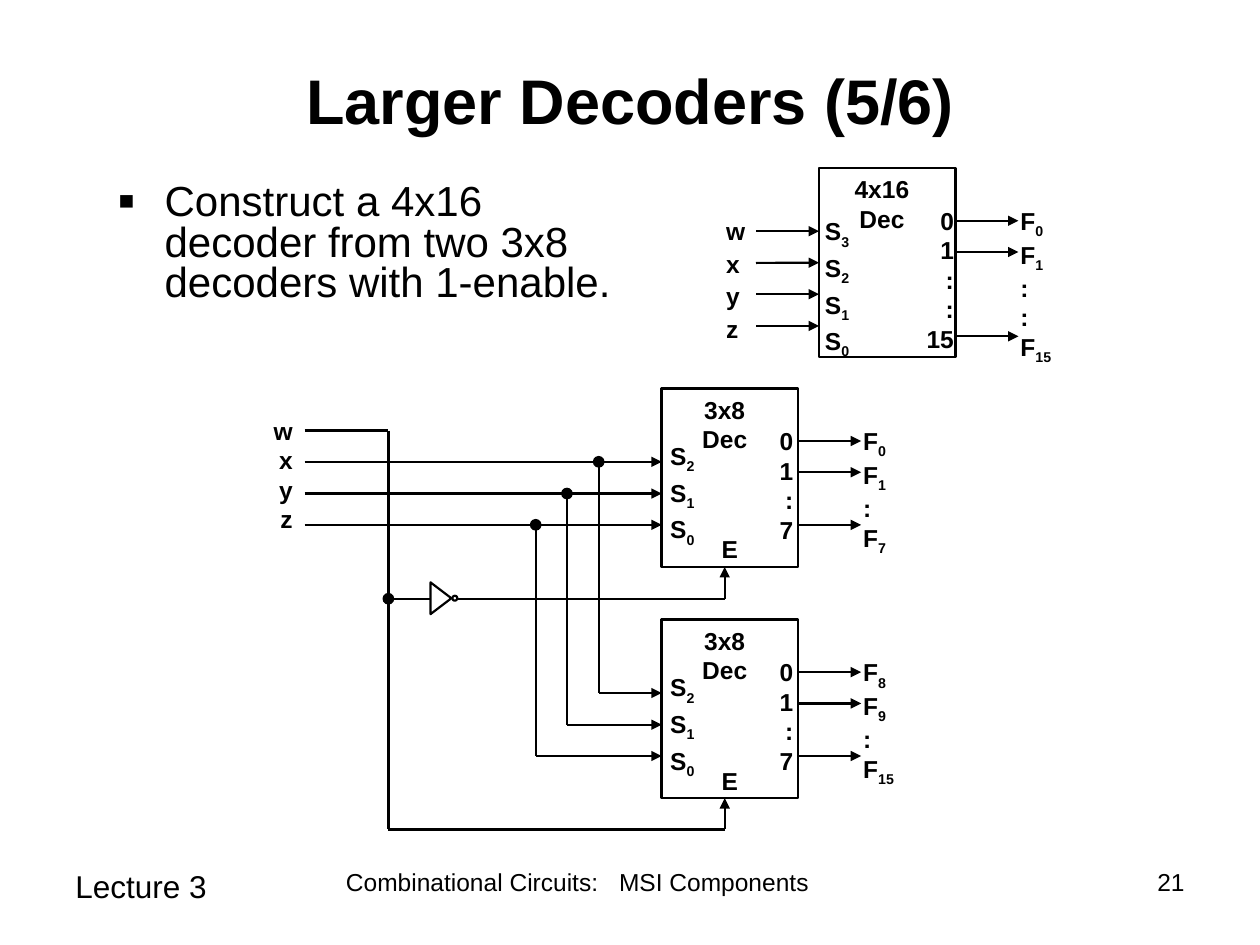
from dataclasses import dataclass

from lxml.etree import SubElement
from pptx import Presentation
from pptx.dml.color import RGBColor
from pptx.enum.shapes import MSO_CONNECTOR, MSO_SHAPE
from pptx.enum.text import MSO_ANCHOR, PP_ALIGN
from pptx.oxml.ns import qn
from pptx.util import Cm, Pt

INK = "000000"
LEFT, CENTER, RIGHT = PP_ALIGN.LEFT, PP_ALIGN.CENTER, PP_ALIGN.RIGHT
DECODER_WIDTH = 2.75
LEAD = 2.12  # length of an output arrow
DOT = 0.21


@dataclass
class Decoder:
    """One decoder block; wire heights are measured from its top, in cm."""
    name: str
    left: float
    top: float
    height: float
    selects: list[str]
    select_starts: list[float]
    select_heights: list[float]
    select_offset: tuple[float, float]
    numbers: list[str]
    number_offset: float
    outputs: list[str]
    output_heights: list[float]
    enable: bool = True


def color(value: str) -> RGBColor:
    return RGBColor.from_string(value)


def add_span(para, text: str, size: float, bold: bool = False):
    span = para.add_run()
    span.text = text
    span.font.name = "Arial"
    span.font.size = Pt(size)
    span.font.bold = bold
    span.font.color.rgb = color(INK)
    return span


def add_box(left: float, top: float, width: float, height: float):
    """Add an empty wrapping text box and return its text frame."""
    frame = page.shapes.add_textbox(Cm(left), Cm(top), Cm(width), Cm(height)).text_frame
    frame.word_wrap = True
    return frame


def add_labels(left: float, top: float, width: float, height: float,
               labels: list[str], align=LEFT, gap: float = 0) -> None:
    """Stack bold labels; what follows an underscore is a subscript."""
    frame = add_box(left, top, width, height)
    for index, label in enumerate(labels):
        para = frame.add_paragraph() if index else frame.paragraphs[0]
        para.alignment = align
        if index and gap:
            para.space_before = Pt(gap)
        base, _, subscript = label.partition("_")
        add_span(para, base, 14, True)
        if subscript:
            span = add_span(para, subscript, 14, True)
            span._r.get_or_add_rPr().set("baseline", "-25000")


def add_wire(x1: float, y1: float, x2: float, y2: float, arrow: bool = False):
    wire = page.shapes.add_connector(MSO_CONNECTOR.STRAIGHT, Cm(x1), Cm(y1), Cm(x2), Cm(y2))
    wire.line.color.rgb = color(INK)
    wire.line.width = Pt(1.25)
    if arrow:
        SubElement(wire.line._get_or_add_ln(), qn("a:tailEnd"), type="triangle")
    SubElement(wire._element.spPr, qn("a:effectLst"))
    return wire


def add_outline(kind, left: float, top: float, width: float, height: float,
                line: float, fill: str = ""):
    shape = page.shapes.add_shape(kind, Cm(left), Cm(top), Cm(width), Cm(height))
    shape.shadow.inherit = False
    shape.line.color.rgb = color(INK)
    shape.line.width = Pt(line)
    if fill:
        shape.fill.solid()
        shape.fill.fore_color.rgb = color(fill)
    else:
        shape.fill.background()
    return shape


def add_junction(x: float, y: float) -> None:
    add_outline(MSO_SHAPE.OVAL, x - DOT / 2, y - DOT / 2, DOT, DOT, 0.75, INK)


def add_decoder(decoder: Decoder) -> None:
    left, top = decoder.left, decoder.top
    right = left + DECODER_WIDTH
    block = add_outline(MSO_SHAPE.RECTANGLE, left, top, DECODER_WIDTH, decoder.height, 1.5)
    add_labels(left + 0.21, top, 2.12, 1.45, [decoder.name, "Dec"], CENTER)
    dx, dy = decoder.select_offset
    add_labels(left + dx, top + dy, 1.2, 0.79 * len(decoder.selects), decoder.selects, gap=1.8)
    for start, height in zip(decoder.select_starts, decoder.select_heights):
        wire = add_wire(start, top + height, left, top + height, True)
        if abs(height - decoder.height / 2) < 0.01:
            wire.end_connect(block, 1)
    for height in decoder.output_heights:
        add_wire(right, top + height, right + 1.27, top + height, True)
    rows = 0.66 * len(decoder.numbers)
    add_labels(left + decoder.number_offset, top + 0.64, 1.07, rows, decoder.numbers, RIGHT)
    add_labels(left + 3.81, top + 0.64, 1.48, rows, decoder.outputs)
    if decoder.enable:
        add_labels(left + 0.84, top + 2.82, 1.07, 0.86, ["E"], CENTER)


def small_decoder(top: float, starts: list[float], outputs: list[str]) -> Decoder:
    return Decoder("3x8", 13.34, top, 3.6, ["S_2", "S_1", "S_0"], starts,
                   SMALL_SELECTS, (-0.08, 0.94), ["0", "1", ":", "7"], 1.83,
                   outputs, [1.06, 1.69, 2.75])


deck = Presentation()
deck.slide_width, deck.slide_height = Cm(25.4), Cm(19.05)
page = deck.slides.add_slide(deck.slide_layouts[6])

# Footer
add_span(add_box(1.27, 17.36, 5.93, 1.32).paragraphs[0], "Lecture 3", 18)
para = add_box(6.56, 17.36, 10.16, 1.32).paragraphs[0]
para.alignment = CENTER
add_span(para, "Combinational Circuits:", 14)
add_span(para, " ", 14)._r.get_or_add_rPr().set("spc", "780")
add_span(para, "MSI Components", 14)
para = add_box(18.2, 17.36, 5.93, 1.32).paragraphs[0]
para.alignment = RIGHT
add_span(para, "21", 14)

# Title and task
frame = add_box(1.91, 0.42, 21.59, 3.18)
frame.vertical_anchor = MSO_ANCHOR.MIDDLE
frame.paragraphs[0].alignment = CENTER
add_span(frame.paragraphs[0], "Larger Decoders (5/6)", 36, True)

para = add_box(2.12, 3.6, 10.58, 3.6).paragraphs[0]
para.line_spacing = 0.8
properties = para._p.get_or_add_pPr()
properties.set("marL", str(Cm(0.95)))
properties.set("indent", str(-Cm(0.95)))
SubElement(SubElement(properties, qn("a:buClr")), qn("a:srgbClr"), val=INK)
SubElement(properties, qn("a:buSzPct"), val="120000")
SubElement(properties, qn("a:buFont"), typeface="Arial")
SubElement(properties, qn("a:buChar"), char="▪")
add_span(para, "Construct a 4x16 decoder from two 3x8 decoders with 1-enable.", 24)

# Decoders
INPUTS = ["w", "x", "y", "z"]
SMALL_SELECTS = [1.48, 2.12, 2.75]
INPUT_X, W_X, ENABLE_X = 6.14, 7.83, 14.61
TAPS = [12.07, 11.43, 10.8]
upper = small_decoder(7.83, [INPUT_X] * 3, ["F_0", "F_1", ":", "F_7"])
lower = small_decoder(12.49, TAPS, ["F_8", "F_9", ":", "F_15"])
large = Decoder("4x16", 16.51, 3.39, 3.81, ["S_3", "S_2", "S_1", "S_0"], [15.24] * 4,
                [1.27, 1.91, 2.54, 3.18], (-0.13, 0.85), ["0", "1", ":", ":", "15"], 1.9,
                ["F_0", "F_1", ":", ":", "F_15"], [1.06, 1.69, 3.39], enable=False)
for decoder in (large, upper, lower):
    add_decoder(decoder)
add_labels(14.39, 4.23, 0.85, 2.82, INPUTS, gap=1.8)
add_labels(5.08, 8.26, 1.07, 2.64, INPUTS, RIGHT)

# Input w enables the lower decoder directly and the upper one through an inverter
W_Y, INVERTER_Y, BOTTOM_Y = 8.68, 12.07, 16.72
add_wire(INPUT_X, W_Y, W_X, W_Y)
add_wire(W_X, W_Y, W_X, BOTTOM_Y)
add_wire(W_X, BOTTOM_Y, ENABLE_X, BOTTOM_Y)
add_wire(W_X, INVERTER_Y, 8.68, INVERTER_Y)
add_wire(9.22, INVERTER_Y, ENABLE_X, INVERTER_Y)
add_outline(MSO_SHAPE.FLOWCHART_MERGE, 8.57, 11.85, 0.64, 0.42, 1.25).rotation = 270
add_outline(MSO_SHAPE.OVAL, 9.12, 12.01, 0.1, 0.1, 1.25)
add_junction(W_X, INVERTER_Y)
for decoder, start in ((upper, INVERTER_Y), (lower, BOTTOM_Y)):
    add_wire(ENABLE_X, start, ENABLE_X, decoder.top + decoder.height, True)

# Inputs x, y and z branch down to the lower decoder
for x, height in zip(TAPS, SMALL_SELECTS):
    add_wire(x, upper.top + height, x, lower.top + height)
    add_junction(x, upper.top + height)

deck.save("out.pptx")
